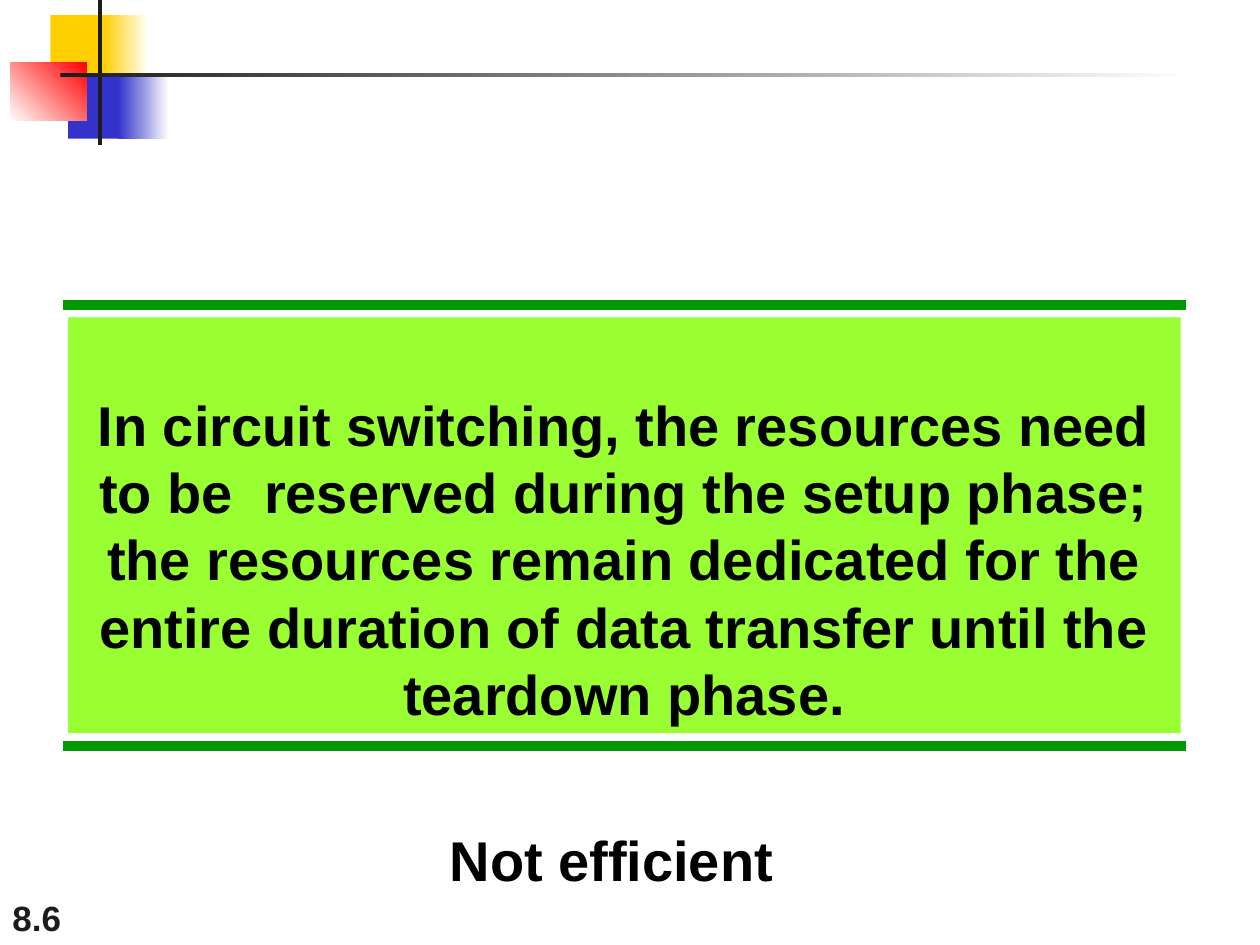
from lxml import etree
from pptx import Presentation
from pptx.dml.color import RGBColor
from pptx.enum.shapes import MSO_CONNECTOR, MSO_SHAPE
from pptx.enum.text import MSO_ANCHOR, PP_ALIGN
from pptx.oxml.ns import qn
from pptx.util import Inches, Pt

RECTANGLE = MSO_SHAPE.RECTANGLE
STRAIGHT = MSO_CONNECTOR.STRAIGHT
TOP, BOTTOM = MSO_ANCHOR.TOP, MSO_ANCHOR.BOTTOM
LEFT, CENTER = PP_ALIGN.LEFT, PP_ALIGN.CENTER

FONT = "Arial"
BLANK_LAYOUT = 6
COLORS = {
    "white": "FFFFFF",
    "black": "000000",
    "ink": "1C1C1C",
    "yellow": "FFCF01",
    "blue": "3333CC",
    "red": "FF0000",
    "rule": "009900",
    "panel": "99FF33",
}
STATEMENT = (
    "In circuit switching, the resources need to be  reserved during the setup phase;\n"
    "the resources remain dedicated for the entire duration of data transfer "
    "until the teardown phase."
)


def color(name):
    return RGBColor.from_string(COLORS[name])


def add_rectangle(slide, box, fill, fade_to=None, angle=0):
    shape = slide.shapes.add_shape(RECTANGLE, *map(Inches, box))
    shape.shadow.inherit = False
    shape.line.fill.background()
    if fade_to is None:
        shape.fill.solid()
        shape.fill.fore_color.rgb = color(fill)
    else:
        shape.fill.gradient()
        shape.fill.gradient_angle = angle
        for stop, name in zip(shape.fill.gradient_stops, (fill, fade_to)):
            stop.color.rgb = color(name)
    return shape


def write_text(shape, text, size, color_name, alignment=LEFT, anchor=TOP):
    frame = shape.text_frame
    frame.word_wrap = True
    frame.vertical_anchor = anchor
    paragraph = frame.paragraphs[0]
    paragraph.text = text
    paragraph.alignment = alignment
    for run in paragraph.runs:
        run.font.name = FONT
        run.font.size = Pt(size)
        run.font.bold = True
        run.font.color.rgb = color(color_name)


def add_label(slide, box, text, size, color_name, anchor=TOP):
    label = slide.shapes.add_textbox(*map(Inches, box))
    write_text(label, text, size, color_name, anchor=anchor)


def add_corner_ornament(slide, left, top):
    def place(x, y, width, height, *fill):
        add_rectangle(slide, (left + x, top + y, width, height), *fill)

    place(0.32, 0.12, 0.48, 0.52, "yellow")
    place(0.74, 0.12, 0.36, 0.52, "yellow", "white")
    place(0.46, 0.58, 0.46, 0.52, "blue")
    place(0.86, 0.58, 0.4, 0.52, "blue", "white")
    place(0, 0.5, 0.61, 0.46, "white", "red", 45)
    place(0.7, 0, 0.03, 1.15, "ink")
    place(0.4, 0.58, 9, 0.03, "ink", "white")


def add_rule(slide, left, right, y):
    rule = slide.shapes.add_connector(STRAIGHT, *map(Inches, (left, y, right, y)))
    rule.line.color.rgb = color("rule")
    rule.line.width = Pt(6)
    etree.SubElement(rule._element.spPr, qn("a:effectLst"))


def add_statement(slide, left, top, width, height):
    overhang, gap = 0.04, 0.1
    for y in (top - gap, top + height + gap):
        add_rule(slide, left - overhang, left + width + overhang, y)
    panel = add_rectangle(slide, (left, top, width, height), "panel")
    write_text(panel, STATEMENT, 32, "black", CENTER)
    panel.text_frame.margin_top = Inches(0.58)


def main():
    presentation = Presentation()
    presentation.slide_width = Inches(10)
    presentation.slide_height = Inches(7.5)
    slide = presentation.slides.add_slide(presentation.slide_layouts[BLANK_LAYOUT])
    add_label(slide, (0, 7, 2.08, 0.5), "8.6", 20, "ink", BOTTOM)
    add_corner_ornament(slide, 0.08, 0)
    add_statement(slide, 0.54, 2.52, 8.83, 3.3)
    add_label(slide, (3.47, 6.5, 6.27, 0.64), "Not efficient", 32, "black")
    presentation.save("out.pptx")


if __name__ == "__main__":
    main()
